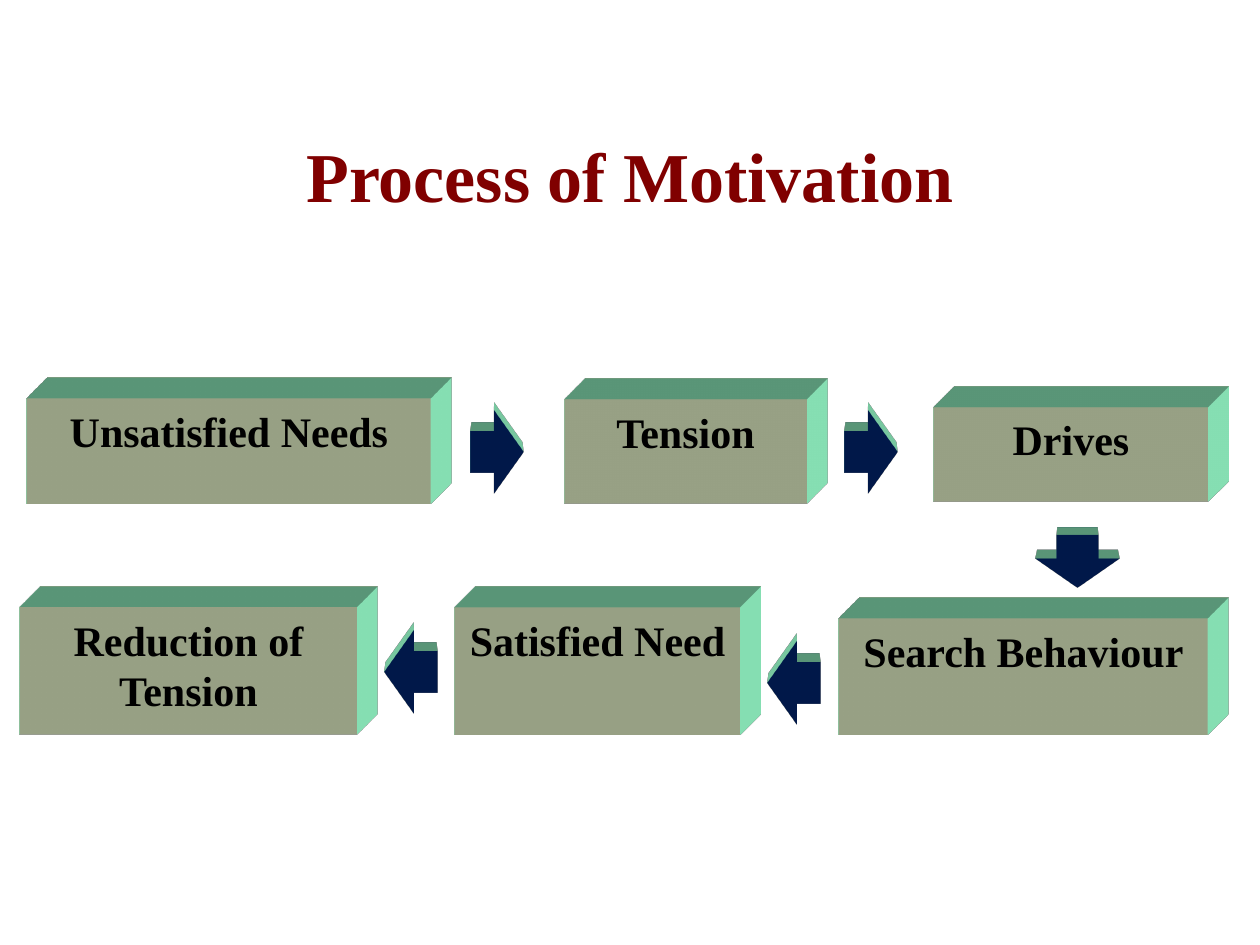
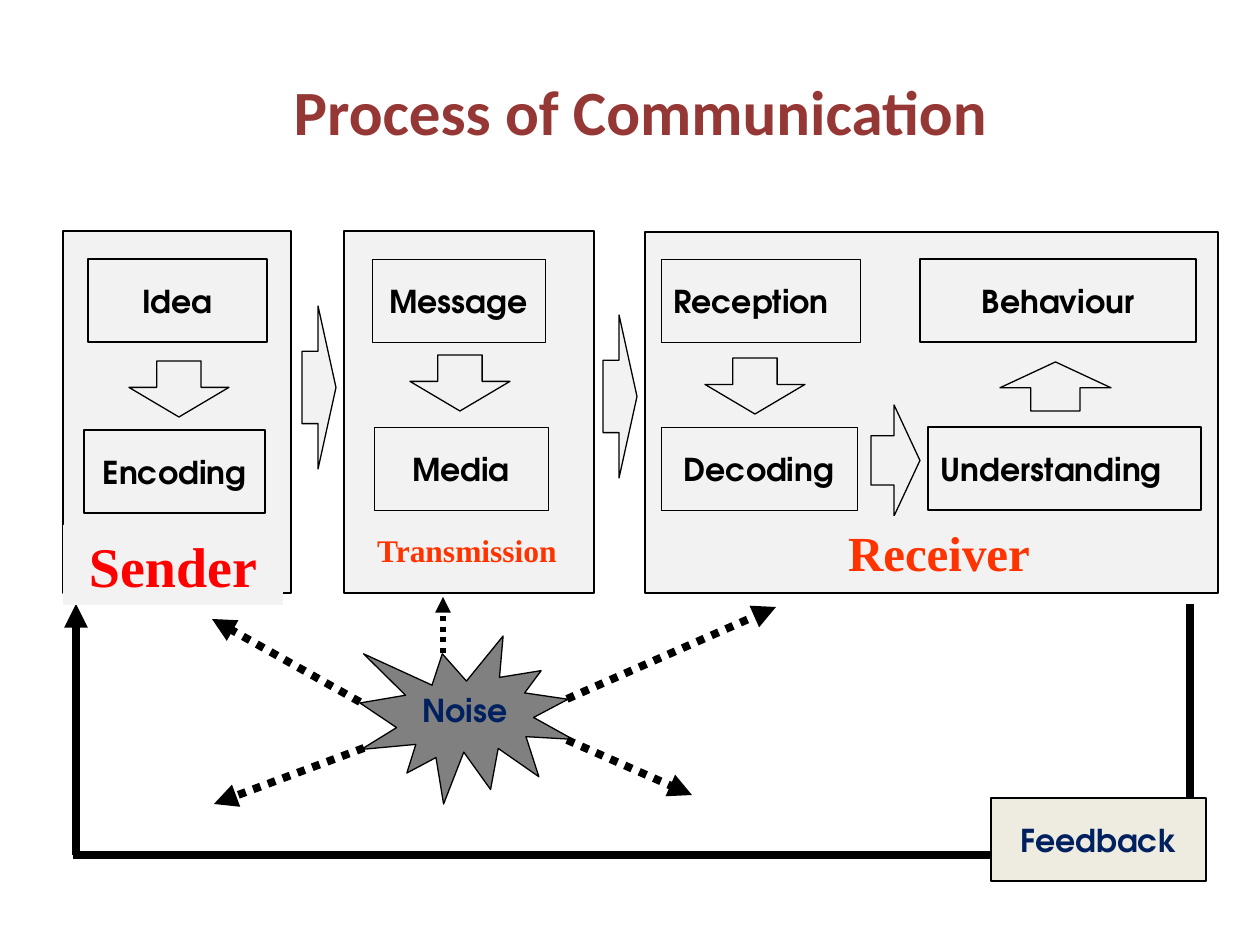
import pptx
import pptx.util
import pptx.dml.color
import pptx.enum.dml
import pptx.enum.shapes
import pptx.enum.text
import pptx.oxml
import pptx.oxml.ns

PX = 914400 / 126
RGB = pptx.dml.color.RGBColor
SHAPE = pptx.enum.shapes.MSO_SHAPE
ALIGN = pptx.enum.text.PP_ALIGN
ANCHOR = pptx.enum.text.MSO_ANCHOR
NAMESPACE = pptx.oxml.ns.nsdecls("a")

BLACK = RGB(0x00, 0x00, 0x00)
MAROON = RGB(0x80, 0x00, 0x00)
BRICK = RGB(0x95, 0x37, 0x35)
RED = RGB(0xFF, 0x00, 0x00)
ORANGE = RGB(0xFF, 0x33, 0x00)
NAVY = RGB(0x00, 0x20, 0x60)
SAGE = RGB(0xD7, 0xE4, 0xBD)
MINT = RGB(0x99, 0xFF, 0xCC)
PALE = RGB(0xF2, 0xF2, 0xF2)
CREAM = RGB(0xEE, 0xEC, 0xE1)
GREY = RGB(0x80, 0x80, 0x80)

SERIF, SANS, ROUND = "Times New Roman", "Calibri", "TeX Gyre Adventor"


def paint(shape, fill, line_width=0, camera=None):
    """Give a shape a fill, an optional black outline and an optional extrusion."""
    shape.shadow.inherit = False
    shape.fill.solid()
    shape.fill.fore_color.rgb = fill
    if line_width:
        shape.line.color.rgb = BLACK
        shape.line.width = pptx.util.Pt(line_width)
    else:
        shape.line.fill.background()
    if camera:
        for xml in (
            f'<a:scene3d {NAMESPACE}><a:camera prst="{camera}"/>'
            '<a:lightRig rig="legacyFlat3" dir="b"/></a:scene3d>',
            f'<a:sp3d {NAMESPACE} extrusionH="430200" prstMaterial="legacyMatte">'
            f'<a:extrusionClr><a:srgbClr val="{MINT}"/></a:extrusionClr></a:sp3d>',
        ):
            shape._element.spPr.append(pptx.oxml.parse_xml(xml))
    return shape


def write(shape, text, name, size, color, anchor=ANCHOR.MIDDLE, align=ALIGN.CENTER, wrap=True):
    """Put one bold paragraph into a shape."""
    frame = shape.text_frame
    frame.text = text
    frame.word_wrap = wrap
    frame.vertical_anchor = anchor
    paragraph = frame.paragraphs[0]
    paragraph.alignment = align
    for key, value in {"name": name, "size": pptx.util.Pt(size), "bold": True}.items():
        setattr(paragraph.font, key, value)
    paragraph.font.color.rgb = color


deck = pptx.Presentation()
deck.slide_width, deck.slide_height = pptx.util.Inches(10), pptx.util.Inches(7.5)

# Slides and titles
titles = [
    ("Process of Motivation", (0, 126, 1260, 97), SERIF, 40, MAROON, ANCHOR.BOTTOM),
    ("Process of Communication", (105, 31, 1071, 158), SANS, 36, BRICK, ANCHOR.MIDDLE),
]
for text, bounds, name, size, color, anchor in titles:
    slide = deck.slides.add_slide(deck.slide_layouts[5])
    title = slide.shapes.title
    title.left, title.top, title.width, title.height = [int(v * PX) for v in bounds]
    write(title, text, name, size, color, anchor)
motivation, communication = [slide.shapes for slide in deck.slides]

# Motivation: stages as extruded blocks
stages = [
    ("Unsatisfied Needs", 27, 399, 404, 105),
    ("Tension", 564, 400, 243, 104),
    ("Drives", 934, 407, 274, 95),
    ("Search Behaviour", 839, 619, 369, 116),
    ("Satisfied Need", 455, 608, 285, 127),
    ("Reduction of Tension", 20, 608, 337, 127),
]
for text, *bounds in stages:
    stage = motivation.add_shape(SHAPE.RECTANGLE, *[int(v * PX) for v in bounds])
    paint(stage, SAGE, camera="legacyObliqueTopRight")
    write(stage, text, SERIF, 24, BLACK, ANCHOR.TOP)

# Motivation: extruded arrows between the stages
step_arrows = [
    (SHAPE.RIGHT_ARROW, 471, 410, 53, 84),
    (SHAPE.RIGHT_ARROW, 845, 410, 53, 84),
    (SHAPE.DOWN_ARROW, 1036, 535, 84, 53),
    (SHAPE.LEFT_ARROW, 768, 641, 53, 84),
    (SHAPE.LEFT_ARROW, 385, 630, 53, 84),
]
for preset, *bounds in step_arrows:
    arrow = motivation.add_shape(preset, *[int(v * PX) for v in bounds])
    paint(arrow, NAVY, camera="legacyPerspectiveTop")
    arrow.adjustments[0], arrow.adjustments[1] = 0.5, 0.556

# Communication: noise burst and feedback box
noise = communication.add_shape(
    SHAPE.EXPLOSION1, *[int(v * PX) for v in (360, 636, 213, 168)])
write(paint(noise, GREY, 0.75), "Noise", ROUND, 18, NAVY, ANCHOR.TOP, wrap=False)
feedback = communication.add_shape(
    SHAPE.RECTANGLE, *[int(v * PX) for v in (991, 798, 215, 83)])
write(paint(feedback, CREAM, 0.75), "Feedback", ROUND, 18, NAVY)

# Communication: noise and feedback lines (from, to, width, dotted, arrowhead)
links = [
    (567, 699, 776, 607, 4.5, True, True),
    (360, 702, 212, 619, 4.5, True, True),
    (443, 653, 443, 597, 3, True, True),
    (567, 740, 692, 795, 4.5, True, True),
    (364, 748, 214, 804, 4.5, True, True),
    (1190, 604, 1190, 798, 4.5, False, False),
    (991, 855, 73, 855, 4.5, False, False),
    (76, 855, 76, 604, 4.5, False, True),
]
for *ends, width, dotted, arrowhead in links:
    link = communication.add_connector(
        pptx.enum.shapes.MSO_CONNECTOR.STRAIGHT, *[int(v * PX) for v in ends])
    link.line.color.rgb = BLACK
    link.line.width = pptx.util.Pt(width)
    if dotted:
        link.line.dash_style = pptx.enum.dml.MSO_LINE.ROUND_DOT
    properties = link._element.spPr
    if arrowhead:
        tail = pptx.oxml.parse_xml(f'<a:tailEnd {NAMESPACE} type="triangle"/>')
        properties.find(pptx.oxml.ns.qn("a:ln")).append(tail)
    properties.append(pptx.oxml.parse_xml(f"<a:effectLst {NAMESPACE}/>"))

# Communication: the three panels
for bounds in [(63, 231, 228, 362), (344, 231, 250, 362), (645, 232, 573, 361)]:
    panel = communication.add_shape(SHAPE.RECTANGLE, *[int(v * PX) for v in bounds])
    paint(panel, PALE, 0.75)

# Communication: steps inside the panels
steps = [
    ("Idea", 88, 259, 179, 0.75, ALIGN.CENTER),
    ("Encoding", 84, 430, 181, 0.75, ALIGN.CENTER),
    ("Message", 372, 259, 173, 0.25, ALIGN.CENTER),
    ("Media", 374, 427, 174, 0.25, ALIGN.CENTER),
    ("Reception", 661, 259, 199, 0.25, ALIGN.LEFT),
    ("Decoding", 661, 427, 196, 0.25, ALIGN.CENTER),
    ("Understanding", 928, 427, 273, 0.75, ALIGN.LEFT),
    ("Behaviour", 920, 259, 276, 0.75, ALIGN.CENTER),
]
for text, x, y, w, line_width, align in steps:
    step = communication.add_shape(
        SHAPE.RECTANGLE, *[int(v * PX) for v in (x, y, w, 83)])
    write(paint(step, PALE, line_width), text, ROUND, 18, BLACK, align=align)

# Communication: arrows between steps and panels
flow_arrows = [
    (SHAPE.DOWN_ARROW, 129, 361, 100, 56),
    (SHAPE.DOWN_ARROW, 410, 355, 100, 56),
    (SHAPE.DOWN_ARROW, 705, 358, 100, 56),
    (SHAPE.UP_ARROW, 1000, 362, 111, 49),
    (SHAPE.RIGHT_ARROW, 871, 405, 49, 111),
    (SHAPE.RIGHT_ARROW, 302, 306, 34, 163),
    (SHAPE.RIGHT_ARROW, 603, 315, 34, 163),
]
for preset, *bounds in flow_arrows:
    arrow = communication.add_shape(preset, *[int(v * PX) for v in bounds])
    paint(arrow, PALE, 0.75)
    arrow.adjustments[0], arrow.adjustments[1] = 0.444, 0.528

# Communication: panel names
panel_names = [
    ("Sender", (63, 525, 220, 80), 32, RED),
    ("Transmission", (357, 525, 220, 50), 18, ORANGE),
    ("Receiver", (829, 516, 220, 72), 28, ORANGE),
]
for text, bounds, size, color in panel_names:
    label = communication.add_shape(SHAPE.RECTANGLE, *[int(v * PX) for v in bounds])
    write(paint(label, PALE), text, SERIF, size, color)

deck.save("out.pptx")
